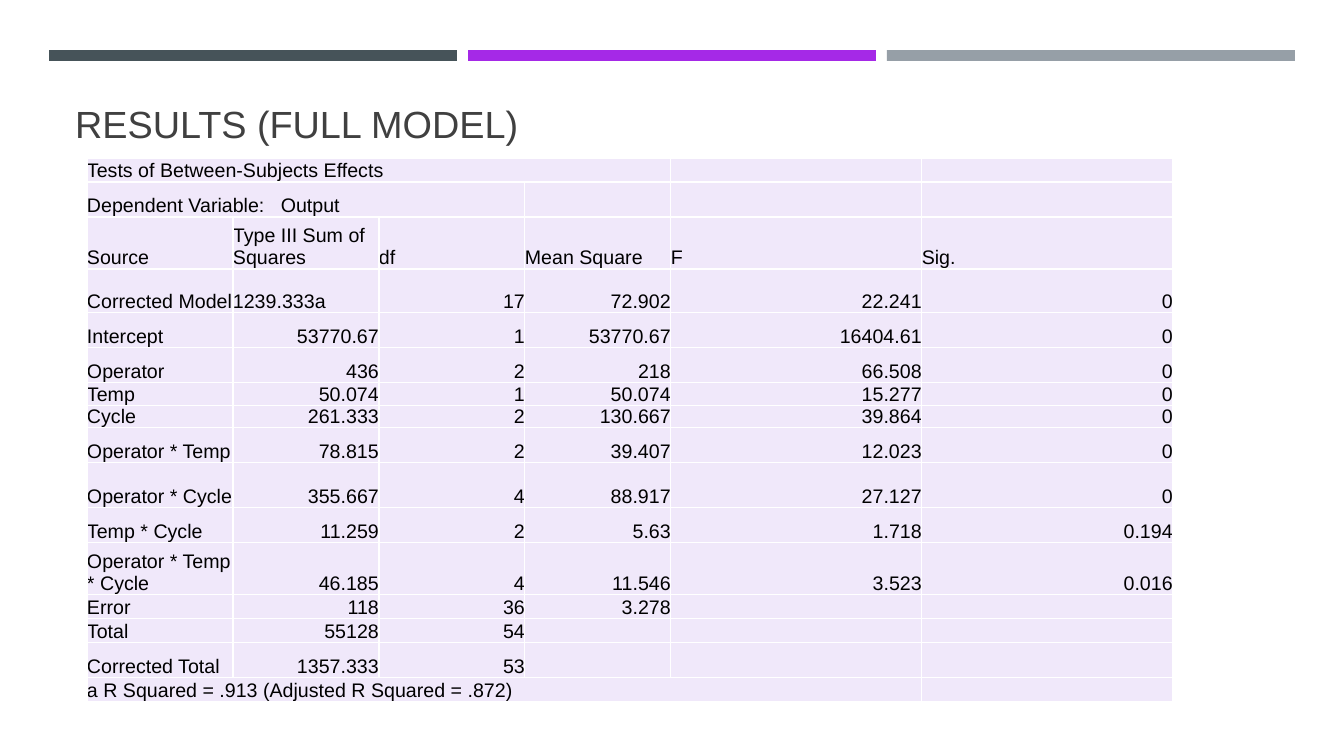
from lxml.etree import SubElement
from pptx import Presentation
from pptx.dml.color import RGBColor as RGB
from pptx.enum.shapes import MSO_SHAPE as Shape
from pptx.enum.text import MSO_ANCHOR as Anchor, MSO_AUTO_SIZE as Fit, PP_ALIGN as Align
from pptx.oxml import parse_xml
from pptx.oxml.ns import nsdecls, qn
from pptx.util import Pt

# Content
TITLE = "RESULTS (FULL MODEL)"
ROWS = [  # height, cells
    (24, ["Tests of Between-Subjects Effects"]),
    (35, ["Dependent Variable:   Output"]),
    (52, ["Source", "Type III Sum of Squares", "df", "Mean Square", "F", "Sig."]),
    (44, ["Corrected Model", "1239.333a", "17", "72.902", "22.241", "0"]),
    (35, ["Intercept", "53770.67", "1", "53770.67", "16404.61", "0"]),
    (35, ["Operator", "436", "2", "218", "66.508", "0"]),
    (23, ["Temp", "50.074", "1", "50.074", "15.277", "0"]),
    (22, ["Cycle", "261.333", "2", "130.667", "39.864", "0"]),
    (35, ["Operator * Temp", "78.815", "2", "39.407", "12.023", "0"]),
    (45, ["Operator * Cycle", "355.667", "4", "88.917", "27.127", "0"]),
    (35, ["Temp * Cycle", "11.259", "2", "5.63", "1.718", "0.194"]),
    (52, ["Operator * Temp * Cycle", "46.185", "4", "11.546", "3.523", "0.016"]),
    (24, ["Error", "118", "36", "3.278"]),
    (24, ["Total", "55128", "54"]),
    (35, ["Corrected Total", "1357.333", "53"]),
    (24, ["a R Squared = .913 (Adjusted R Squared = .872)"]),
]
COLS = [146] * 4 + [251] * 2
SPANS = {0: 4, 1: 3, 15: 5}  # row: merged columns

FONT = "Arial"
BLACK = RGB(0x00, 0x00, 0x00)
GREY = RGB(0x40, 0x40, 0x40)
LILAC = RGB(0xF0, 0xE8, 0xFA)
BARS = [RGB(0x46, 0x53, 0x59), RGB(0xA5, 0x29, 0xE7), RGB(0x96, 0x9F, 0xA7)]


def px(n):
    return round(n * 914400 / 100.8)


def write(frame, text, size=14, color=BLACK, align=Align.LEFT, lead=None):
    para = frame.paragraphs[0]
    para.alignment = align
    if lead:
        para.line_spacing = lead
    if not text:  # keeps blank cells from growing their row
        SubElement(para._p, qn("a:endParaRPr"), sz=str(size * 100))
        return
    run = para.add_run()
    run.text = text
    run.font.name = FONT
    run.font.size = Pt(size)
    run.font.color.rgb = color


def edge(cell):
    props = cell._tc.get_or_add_tcPr()
    for i, side in enumerate(("lnL", "lnR", "lnT", "lnB")):
        props.insert(i, parse_xml(
            f'<a:{side} {nsdecls("a")} w="12700"><a:solidFill>'
            f'<a:srgbClr val="FFFFFF"/></a:solidFill></a:{side}>'))


deck = Presentation()
deck.slide_width, deck.slide_height = px(1344), px(756)
slide = deck.slides.add_slide(deck.slide_layouts[5])

# Bars across the top
for i, color in enumerate(BARS):
    bar = slide.shapes.add_shape(Shape.RECTANGLE, px(49 + 419 * i), px(50), px(408), px(11))
    bar.shadow.inherit = False
    bar.fill.solid()
    bar.fill.fore_color.rgb = color
    bar.line.fill.background()

# Title
head = slide.shapes.title
head.left, head.top, head.width, head.height = px(65), px(84), px(1216), px(68)
head.text_frame.auto_size = Fit.NONE
head.text_frame.vertical_anchor = Anchor.BOTTOM
write(head.text_frame, TITLE, size=27, color=GREY, lead=0.9)

# Table of effects
high = sum(h for h, _ in ROWS)
table = slide.shapes.add_table(
    len(ROWS), len(COLS), px(87), px(158), px(sum(COLS)), px(high)).table
table.first_row = table.horz_banding = False
for col, wide in zip(table.columns, COLS):
    col.width = px(wide)
for r, (tall, texts) in enumerate(ROWS):
    table.rows[r].height = px(tall)
    for c in range(len(COLS)):
        text = texts[c] if c < len(texts) else ""
        cell = table.cell(r, c)
        cell.margin_left = cell.margin_right = cell.margin_top = cell.margin_bottom = 0
        cell.vertical_anchor = Anchor.BOTTOM
        cell.fill.solid()
        cell.fill.fore_color.rgb = LILAC
        edge(cell)
        number = text.replace(".", "").isdigit()
        write(cell.text_frame, text, align=Align.RIGHT if number else Align.LEFT)
for r, span in SPANS.items():
    table.cell(r, 0).merge(table.cell(r, span - 1))

deck.save("out.pptx")
